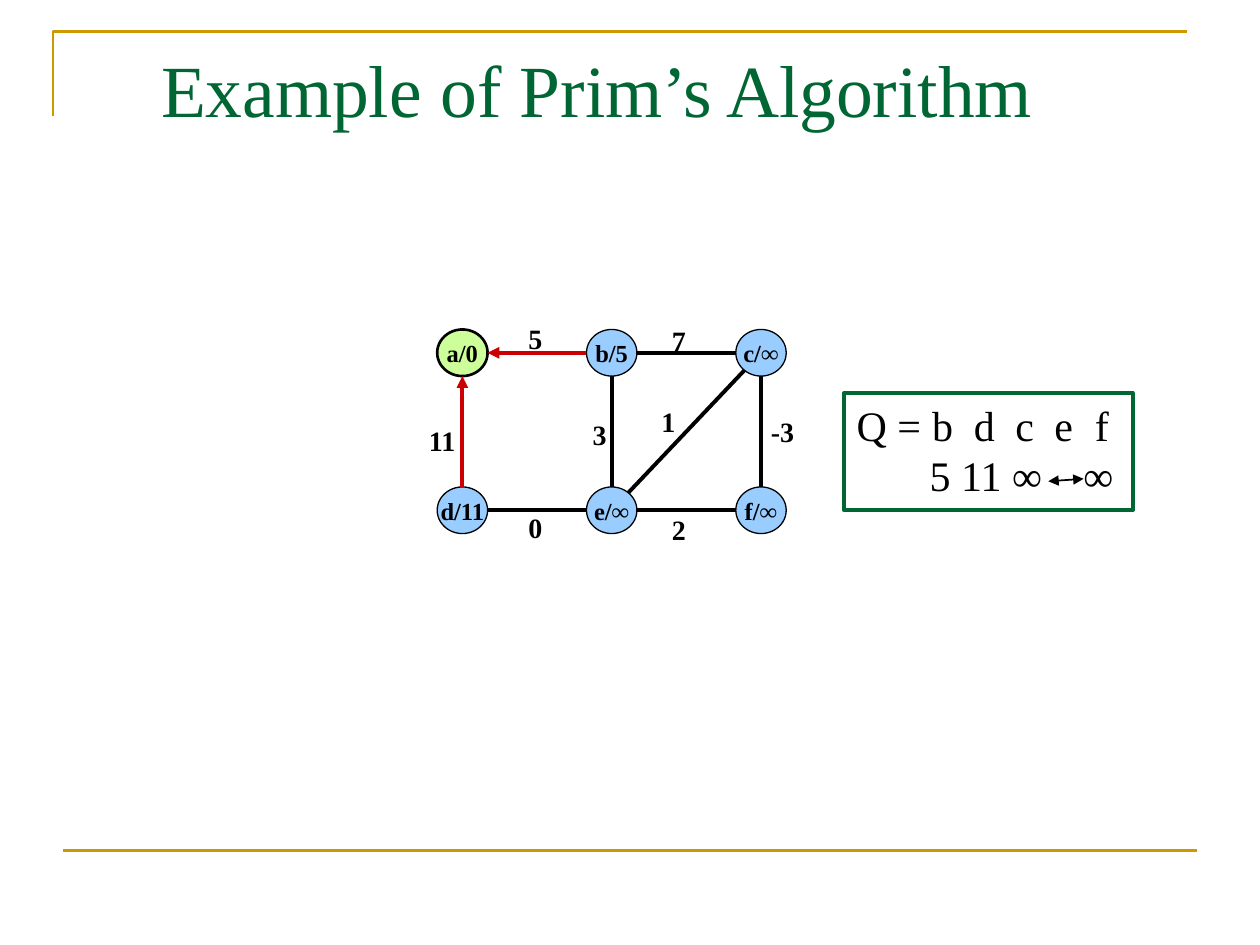
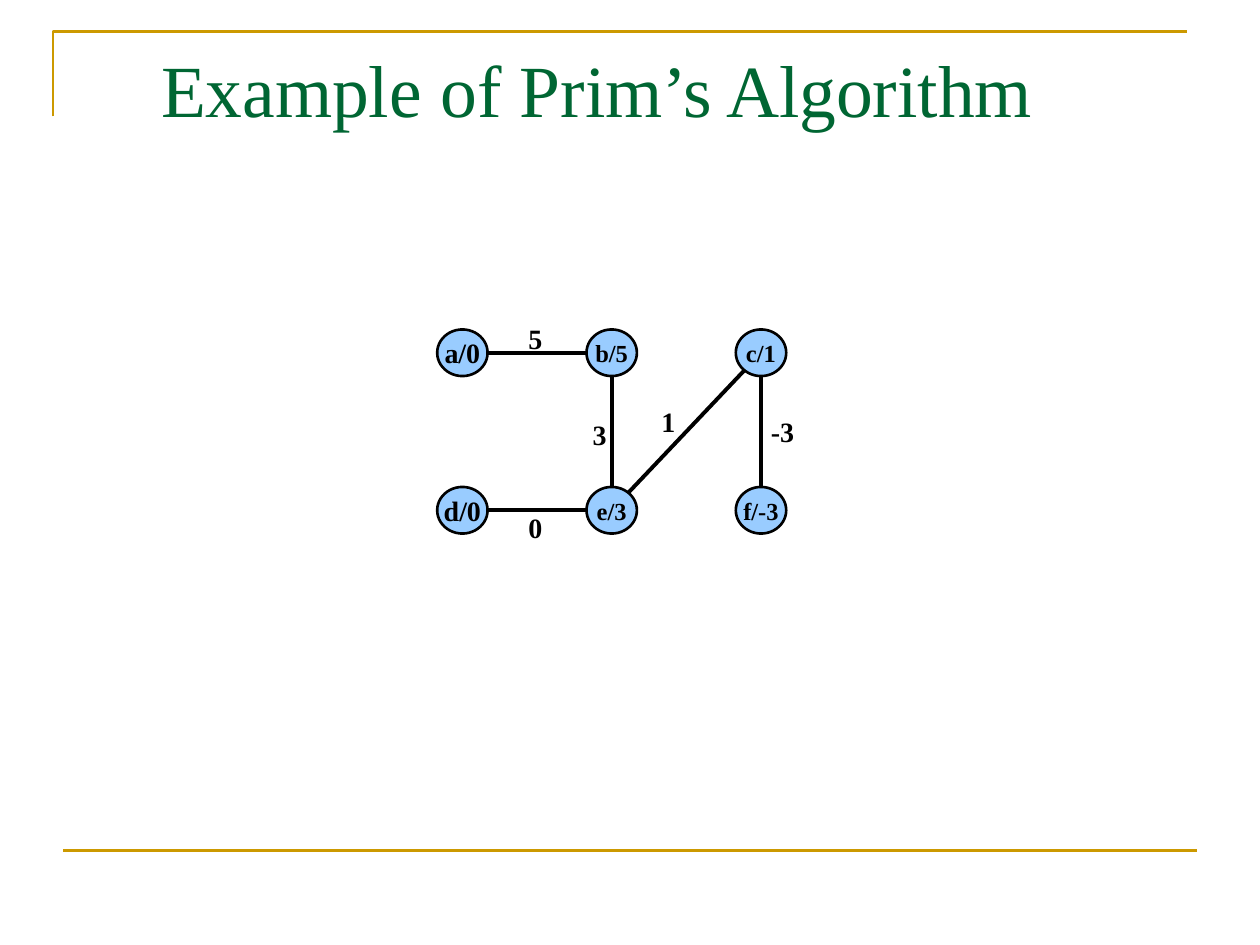
import math

import lxml.etree
import pptx
import pptx.dml.color
import pptx.enum.shapes
import pptx.enum.text
import pptx.oxml.ns
import pptx.util

inches = pptx.util.Inches
color = pptx.dml.color.RGBColor.from_string
qn = pptx.oxml.ns.qn
shape_kinds = pptx.enum.shapes.MSO_SHAPE
LEFT, CENTER = pptx.enum.text.PP_ALIGN.LEFT, pptx.enum.text.PP_ALIGN.CENTER
MIDDLE = pptx.enum.text.MSO_ANCHOR.MIDDLE

FONT = "Times New Roman"
GOLD, GREEN, RED, BLACK = "CC9900", "006633", "CC0000", "000000"
NODE_BLUE, START_GREEN = "99CCFF", "CCFF99"
WIDTH, HEIGHT = 10, 7.5

# The graph stands on a grid of three columns and two rows.
GRID_LEFT, GRID_TOP, COLUMN, ROW = 3.67, 2.8, 1.185, 1.25
NODE_WIDTH, NODE_HEIGHT = 0.4, 0.37
centers = {
    name: (GRID_LEFT + COLUMN * (i % 3), GRID_TOP + ROW * (i // 3))
    for i, name in enumerate("abcdef")
}

# Each edge: its weight, then the column and row of the weight's centre.
edges = {
    "ab": ("5", 0.49, -0.09),
    "ad": ("11", -0.13, 0.56),
    "bc": ("7", 1.45, -0.08),
    "be": ("3", 0.92, 0.52),
    "cf": ("-3", 2.16, 0.5),
    "de": ("0", 0.49, 1.11),
    "ec": ("1", 1.38, 0.44),
    "ef": ("2", 1.45, 1.12),
}

steps = [
    {
        "keys": ["0", "5", "∞", "11", "∞", "∞"],
        "edges": list(edges),
        "parent_edges": ["ab", "ad"],
        "start": "a",
        "outline": 0.75,
        "large": "",
        "queue": ["Q =\tb\td\tc\te\tf", "\t5 11 ∞\t∞"],
    },
    {
        "keys": ["0", "5", "1", "0", "3", "-3"],
        "edges": ["ab", "be", "cf", "de", "ec"],
        "parent_edges": [],
        "start": "",
        "outline": 1.5,
        "large": "ad",
        "queue": [],
    },
]
queue_tabs = [[0.6, 0.93, 1.26, 1.57, 1.89], [0.58, 1.8]]


def write(frame, lines, size, ink=BLACK, bold=False, align=LEFT, tabs=()):
    """Fill a text frame with one paragraph a line, each with its own tab stops."""
    frame.text = "\n".join(lines)
    for stops, paragraph in zip(tabs, frame.paragraphs):
        tab_list = lxml.etree.SubElement(
            paragraph._p.get_or_add_pPr(), qn("a:tabLst"))
        for stop in stops:
            lxml.etree.SubElement(
                tab_list, qn("a:tab"), pos=str(inches(stop)), algn="l")
    for paragraph in frame.paragraphs:
        paragraph.alignment = align
        paragraph.font.name = FONT
        paragraph.font.size = pptx.util.Pt(size)
        paragraph.font.bold = bold
        paragraph.font.color.rgb = color(ink)


def draw_line(slide, start, end, ink, width, arrows=()):
    """Join two points; arrows lists the ends that carry a triangle."""
    connector = slide.shapes.add_connector(
        pptx.enum.shapes.MSO_CONNECTOR.STRAIGHT, *map(inches, (*start, *end)))
    connector.line.color.rgb = color(ink)
    connector.line.width = pptx.util.Pt(width)
    for arrow in arrows:
        lxml.etree.SubElement(
            connector.line._get_or_add_ln(), qn(f"a:{arrow}"), type="triangle")
    lxml.etree.SubElement(connector._element.spPr, qn("a:effectLst"))


deck = pptx.Presentation()
deck.slide_width, deck.slide_height = inches(WIDTH), inches(HEIGHT)

for step in steps:
    slide = deck.slides.add_slide(deck.slide_layouts[6])

    # Frame lines and title
    outline = slide.shapes.build_freeform(
        inches(0.042 * WIDTH), inches(0.123 * HEIGHT))
    outline.add_line_segments(
        [(inches(x * WIDTH), inches(0.033 * HEIGHT)) for x in (0.042, 0.942)],
        close=False)
    corner = outline.convert_to_shape()
    corner.shadow.inherit = False
    corner.fill.background()
    corner.line.color.rgb = color(GOLD)
    corner.line.width = pptx.util.Pt(1.5)
    draw_line(slide, (0.05 * WIDTH, 0.9 * HEIGHT),
              (0.95 * WIDTH, 0.9 * HEIGHT), GOLD, 1.5)
    title = slide.shapes.add_textbox(
        inches(0.118 * WIDTH), inches(0.04 * HEIGHT),
        inches(0.765 * WIDTH), inches(0.152 * HEIGHT))
    title.text_frame.word_wrap = True
    write(title.text_frame, ["Example of Prim’s Algorithm"], 42, GREEN)

    # Nodes
    for (name, (x, y)), key in zip(centers.items(), step["keys"]):
        is_start = name == step["start"]
        node = slide.shapes.add_shape(
            shape_kinds.OVAL,
            inches(x - NODE_WIDTH / 2), inches(y - NODE_HEIGHT / 2),
            inches(NODE_WIDTH), inches(NODE_HEIGHT))
        node.shadow.inherit = False
        node.fill.solid()
        node.fill.fore_color.rgb = color(START_GREEN if is_start else NODE_BLUE)
        node.line.color.rgb = color(BLACK)
        node.line.width = pptx.util.Pt(1.5 if is_start else step["outline"])
        node.text_frame.word_wrap = False
        node.text_frame.vertical_anchor = MIDDLE
        write(node.text_frame, [f"{name}/{key}"],
              16 if name in step["large"] else 14, bold=True, align=CENTER)

    # Edges run from rim to rim, with their weights beside them
    for edge in step["edges"]:
        (x1, y1), (x2, y2) = (centers[name] for name in edge)
        dx, dy = x2 - x1, y2 - y1
        rim = 0.5 / math.hypot(dx / NODE_WIDTH, dy / NODE_HEIGHT)
        is_parent = edge in step["parent_edges"]
        draw_line(slide, (x1 + rim * dx, y1 + rim * dy),
                  (x2 - rim * dx, y2 - rim * dy),
                  RED if is_parent else BLACK, 2.25,
                  ["headEnd"] if is_parent else [])

        weight, column, row = edges[edge]
        label_width = 0.2 + 0.11 * len(weight)
        label = slide.shapes.add_textbox(
            inches(GRID_LEFT + COLUMN * column - label_width / 2),
            inches(GRID_TOP + ROW * row - 0.185),
            inches(label_width), inches(0.37))
        label.text_frame.word_wrap = False
        write(label.text_frame, [weight], 16, bold=True)

    # Priority queue, with a double arrow between its equal keys
    if step["queue"]:
        queue = slide.shapes.add_shape(
            shape_kinds.RECTANGLE,
            inches(0.67 * WIDTH), inches(0.416 * HEIGHT),
            inches(0.229 * WIDTH), inches(0.124 * HEIGHT))
        queue.shadow.inherit = False
        queue.fill.background()
        queue.line.color.rgb = color(GREEN)
        queue.line.width = pptx.util.Pt(2.25)
        queue.text_frame.word_wrap = True
        queue.text_frame.vertical_anchor = pptx.enum.text.MSO_ANCHOR.TOP
        write(queue.text_frame, step["queue"], 24, tabs=queue_tabs)
        draw_line(slide, (8.32, 3.82), (8.6, 3.8), BLACK, 1,
                  ["headEnd", "tailEnd"])

deck.save("out.pptx")
